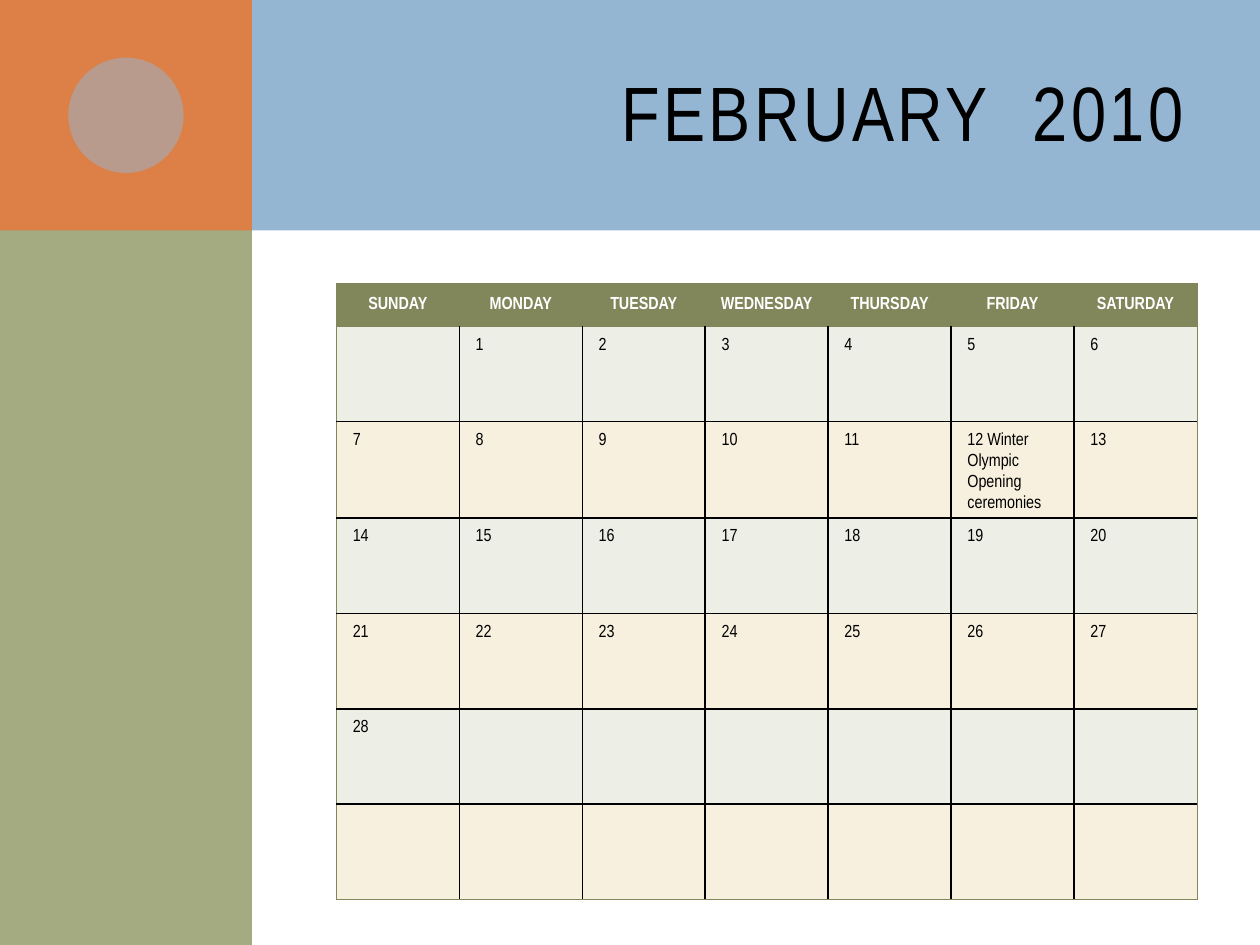
import pptx
import pptx.util
import pptx.dml.color
import pptx.enum.shapes
import pptx.enum.text
import pptx.oxml
import pptx.oxml.ns

Inches, Pt = pptx.util.Inches, pptx.util.Pt
Align, Anchor = pptx.enum.text.PP_ALIGN, pptx.enum.text.MSO_ANCHOR
Shape = pptx.enum.shapes.MSO_SHAPE
PAGE_WIDTH, PAGE_HEIGHT = 10, 7.5
COLORS = {
    "band": "94B6D2", "side": "A5AB81", "corner": "DD8047", "olive": "81875A",
    "odd": "EDEEE6", "even": "F7F0DE", "ink": "000000", "white": "FFFFFF",
}
DAYS = ["SUNDAY", "MONDAY", "TUESDAY", "WEDNESDAY", "THURSDAY", "FRIDAY", "SATURDAY"]
WEEKS, FIRST_COLUMN, LAST_DATE = 6, 1, 28
EVENTS = {12: "12 Winter Olympic\nOpening ceremonies"}
HEADER_HEIGHT = 0.34
CELL_FORMAT = {"margin_left": Inches(0.08), "margin_right": Inches(0.08),
               "margin_top": Inches(0.05), "margin_bottom": Inches(0.05)}


def rgb(name):
    """Return the named colour."""
    return pptx.dml.color.RGBColor.from_string(COLORS[name])


def apply(target, formats):
    """Set each attribute of the target from a dict."""
    for name, value in formats.items():
        setattr(target, name, value)


def style_text(frame, font, paragraph):
    """Format every paragraph and run of a text frame."""
    for para in frame.paragraphs:
        apply(para, paragraph)
        for span in para.runs:
            apply(span.font, {"name": "Arial Narrow", **font})


def add_block(page, kind, box, color, alpha=None):
    """Add a plain filled shape, optionally see-through (alpha in percent)."""
    block = page.shapes.add_shape(kind, *map(Inches, box))
    block.shadow.inherit = False
    block.fill.solid()
    block.fill.fore_color.rgb = rgb(color)
    block.line.fill.background()
    if alpha is not None:
        tint = block.fill._xPr.find(".//" + pptx.oxml.ns.qn("a:srgbClr"))
        tint.append(pptx.oxml.parse_xml(
            f'<a:alpha {pptx.oxml.ns.nsdecls("a")} val="{alpha * 1000}"/>'))


def add_backdrop(page, box):
    """Draw the top band, side panel, corner block and its disc."""
    left, top, width, height = box
    side, band = width * 0.2, 1.83
    disc = band / 2
    add_block(page, Shape.RECTANGLE, (left + 0.5, top, width - 0.5, band), "band")
    add_block(page, Shape.RECTANGLE, (left, top, side, height), "side")
    add_block(page, Shape.RECTANGLE, (left, top, side, band), "corner")
    add_block(page, Shape.OVAL, (left + (side - disc) / 2, top + (band - disc) / 2,
                                 disc, disc), "band", alpha=50)


def add_title(page, box, text):
    """Place the title placeholder and bring it in front of the backdrop."""
    title = page.shapes.title
    apply(title, dict(zip(("left", "top", "width", "height"), map(Inches, box))))
    frame = title.text_frame
    frame.text = text
    apply(frame, {"vertical_anchor": Anchor.MIDDLE, "word_wrap": True,
                  "auto_size": pptx.enum.text.MSO_AUTO_SIZE.NONE})
    style_text(frame, {"size": Pt(44)}, {"alignment": Align.RIGHT})
    span = frame.paragraphs[0].runs[0]
    span.font.color.rgb = rgb("ink")
    span.font._element.set("spc", "200")
    page.shapes._spTree.append(title._element)


def set_borders(cell, sides):
    """Draw cell borders, given as side letter to (colour, points)."""
    properties = cell._tc.get_or_add_tcPr()
    for index, side in enumerate("LRTB"):
        color, points = sides[side]
        properties.insert(index, pptx.oxml.parse_xml(
            f'<a:ln{side} {pptx.oxml.ns.nsdecls("a")} w="{Pt(points)}"><a:solidFill>'
            f'<a:srgbClr val="{COLORS[color]}"/></a:solidFill></a:ln{side}>'))


def fill_cell(cell, row, column):
    """Write and format one calendar cell: a day name or a date."""
    header = row == 0
    date = (row - 1) * len(DAYS) + column - FIRST_COLUMN + 1
    if header:
        cell.text = DAYS[column]
    elif 1 <= date <= LAST_DATE:
        cell.text = EVENTS.get(date, str(date))
    apply(cell, {**CELL_FORMAT, "vertical_anchor": Anchor.MIDDLE if header else Anchor.TOP})
    style_text(cell.text_frame, {"size": Pt(10), "bold": header},
               {"alignment": Align.CENTER} if header else {"line_spacing": 1.3})
    for para in cell.text_frame.paragraphs:
        if not header:
            apply_indent = para._p.get_or_add_pPr()
            apply_indent.set("marL", str(Inches(0.05)))
        for span in para.runs:
            span.font.color.rgb = rgb("white" if header else "ink")
    cell.fill.solid()
    cell.fill.fore_color.rgb = rgb("olive" if header else ("even", "odd")[row % 2])
    edge, grid = ("olive", 0.5), ("ink", 1)
    set_borders(cell, {
        "L": edge if header or column == 0 else grid,
        "R": edge if header or column == len(DAYS) - 1 else grid,
        "T": edge if row <= 1 else grid,
        "B": edge if row in (0, WEEKS) else grid,
    })


def add_calendar(page, box):
    """Build the month grid inside the box."""
    frame = page.shapes.add_table(WEEKS + 1, len(DAYS), *map(Inches, box))
    table = frame.table
    apply(table, {"first_row": True, "horz_banding": False})
    for column in table.columns:
        column.width = Inches(box[2] / len(DAYS))
    for index, row in enumerate(table.rows):
        row.height = Inches((box[3] - HEADER_HEIGHT) / WEEKS if index else HEADER_HEIGHT)
        for column, cell in enumerate(row.cells):
            fill_cell(cell, index, column)


def build():
    """Create the one-page calendar deck."""
    deck = pptx.Presentation()
    apply(deck, {"slide_width": Inches(PAGE_WIDTH), "slide_height": Inches(PAGE_HEIGHT)})
    page = deck.slides.add_slide(deck.slide_layouts[5])
    left, width = 2.67, 6.83
    add_backdrop(page, (0, 0, PAGE_WIDTH, PAGE_HEIGHT))
    add_title(page, (left, 0.25, width, 1.25), "FEBRUARY  2010")
    add_calendar(page, (left, 2.25, width, 4.88))
    deck.save("out.pptx")


build()
